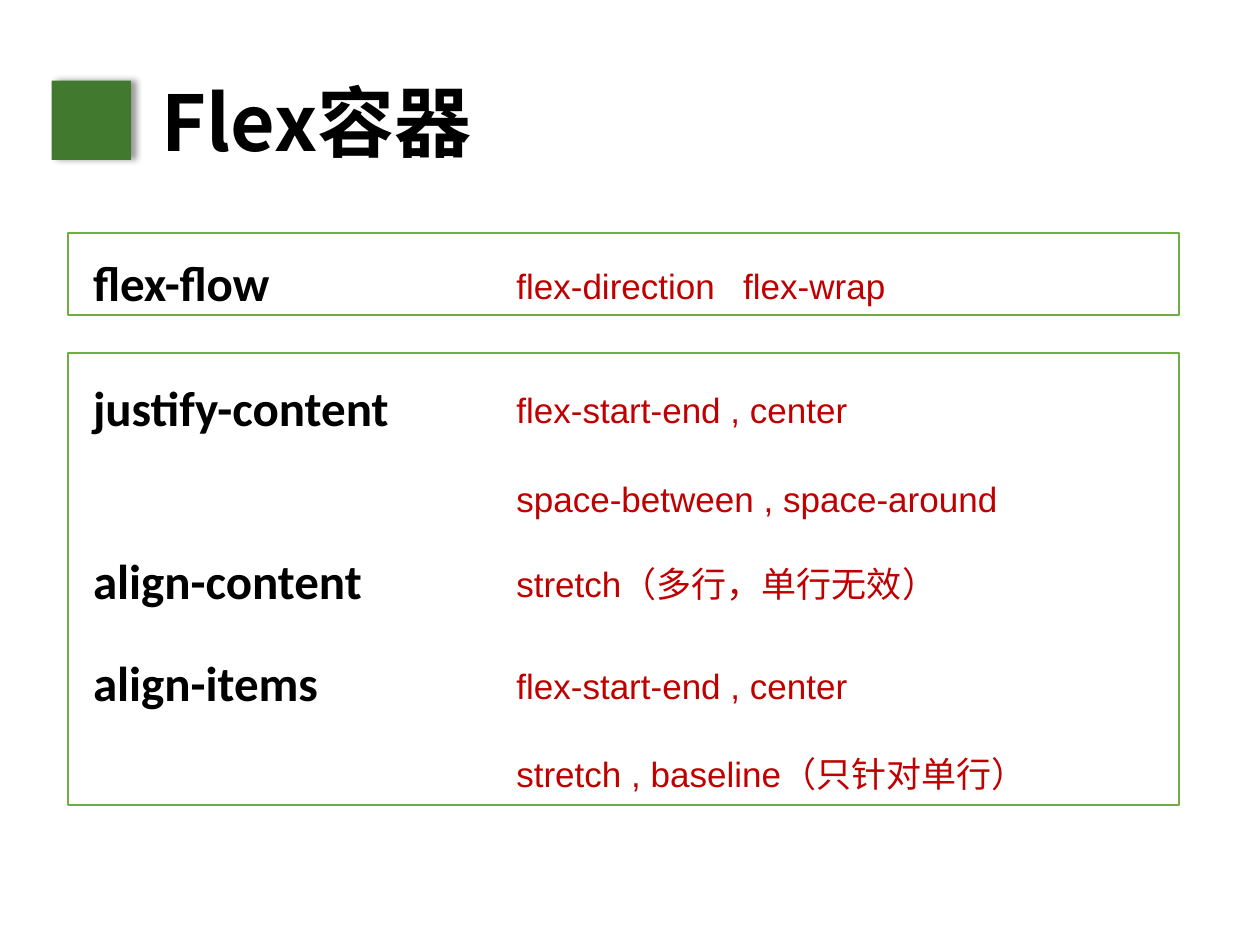
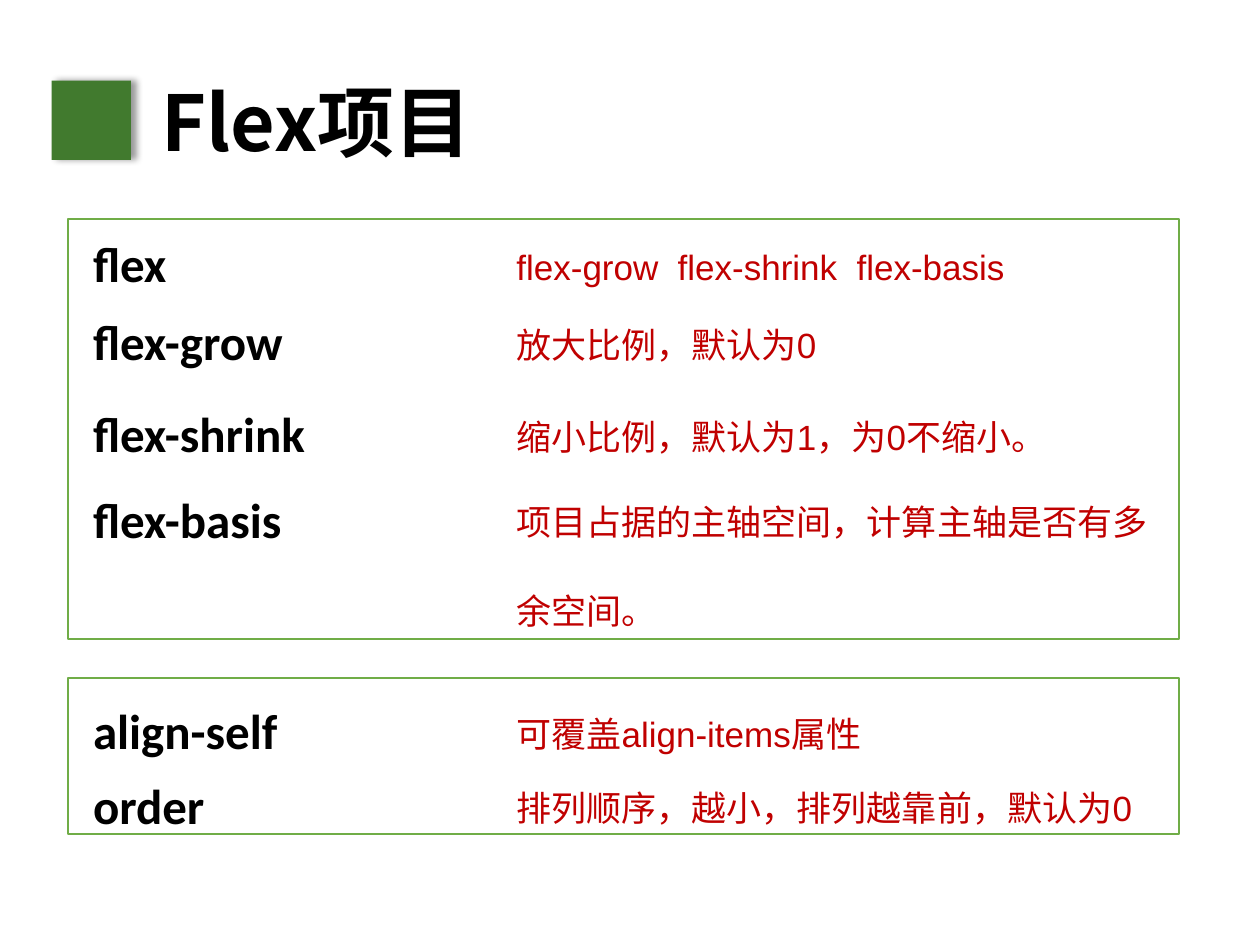
import pptx
import pptx.util
import pptx.dml.color
import pptx.enum.shapes
import pptx.enum.text
import pptx.oxml
import pptx.oxml.ns
from lxml import etree

Inches = pptx.util.Inches
Pt = pptx.util.Pt
RGBColor = pptx.dml.color.RGBColor
qn = pptx.oxml.ns.qn

BLACK = RGBColor(0x00, 0x00, 0x00)
RED = RGBColor(0xC0, 0x00, 0x00)
LEAF = RGBColor(0x41, 0x7A, 0x2E)
LIME = RGBColor(0x70, 0xAD, 0x47)
HAN = "Noto Sans CJK SC"

KEY_X, KEY_W = 0.64, 3.36
NOTE_X, NOTE_W = 4, 5.46
LIFT = 0.04
BOX_X, BOX_W = 0.54, 8.82

SLIDES = [
    {
        "title": "Flex容器",
        "rows": [
            (1.72, "flex-flow", ["flex-direction\tflex-wrap"], [1.8]),
            (2.71, "justify-content",
             ["flex-start-end , center", "space-between , space-around"], []),
            (4.09, "align-content", ["stretch（多行，单行无效）"], []),
            (4.9, "align-items",
             ["flex-start-end , center", "stretch , baseline（只针对单行）"], []),
        ],
        "boxes": [(1.85, 0.65), (2.8, 3.59)],
    },
    {
        "title": "Flex项目",
        "rows": [
            (1.57, "flex", ["flex-grow\tflex-shrink\tflex-basis"], [1.28, 2.7]),
            (2.19, "flex-grow", ["放大比例，默认为0"], []),
            (2.92, "flex-shrink", ["缩小比例，默认为1，为0不缩小。"], []),
            (3.6, "flex-basis", ["项目占据的主轴空间，计算主轴是否有多余空间。"], []),
            (5.28, "align-self", ["可覆盖align-items属性"], []),
            (5.87, "order", ["排列顺序，越小，排列越靠前，默认为0"], []),
        ],
        "boxes": [(1.74, 3.33), (5.38, 1.24)],
    },
]


def write(frame, lines, size, font, color, bold=False, gap=1.0, tabs=()):
    frame.word_wrap = True
    frame.vertical_anchor = pptx.enum.text.MSO_ANCHOR.TOP
    frame.auto_size = pptx.enum.text.MSO_AUTO_SIZE.SHAPE_TO_FIT_TEXT
    for i, line in enumerate(lines):
        para = frame.add_paragraph() if i else frame.paragraphs[0]
        para.alignment = pptx.enum.text.PP_ALIGN.LEFT
        para.line_spacing = gap
        run = para.add_run()
        run.text = line
        run.font.size = Pt(size)
        run.font.name = font
        run.font.bold = bold
        run.font.color.rgb = color
        etree.SubElement(run.font._element, qn("a:ea")).set("typeface", HAN)
        if tabs:
            stops = etree.SubElement(para._p.get_or_add_pPr(), qn("a:tabLst"))
            for pos in tabs:
                etree.SubElement(stops, qn("a:tab"), pos=str(Inches(pos)), algn="l")


def place(shape, left, top, width, height):
    shape.left, shape.top = Inches(left), Inches(top)
    shape.width, shape.height = Inches(width), Inches(height)


def add_rect(slide, left, top, width, height):
    shape = slide.shapes.add_shape(
        pptx.enum.shapes.MSO_SHAPE.RECTANGLE,
        Inches(left), Inches(top), Inches(width), Inches(height))
    shape.shadow.inherit = False
    return shape


def add_shade(shape):
    effects = shape._element.spPr.find(qn("a:effectLst"))
    shade = etree.SubElement(effects, qn("a:outerShdw"), blurRad=str(Pt(4)),
                             dist=str(Pt(3)), dir="0", algn="l", rotWithShape="0")
    color = etree.SubElement(shade, qn("a:srgbClr"), val=str(BLACK))
    etree.SubElement(color, qn("a:alpha"), val="40000")


def add_title(slide, text):
    title = slide.shapes.title
    place(title, 1.18, 0.54, 3, 0.84)
    write(title.text_frame, [text], 44, HAN, BLACK, bold=True)
    mark = add_rect(slide, 0.41, 0.64, 0.63, 0.63)
    mark.fill.solid()
    mark.fill.fore_color.rgb = LEAF
    mark.line.fill.background()
    add_shade(mark)


def add_text(slide, left, top, width, height, lines, **style):
    box = slide.shapes.add_textbox(
        Inches(left), Inches(top), Inches(width), Inches(height))
    write(box.text_frame, lines, **style)


def add_row(slide, top, key, notes, tabs):
    add_text(slide, KEY_X, top, KEY_W, 0.73, [key],
             size=28, font="Calibri", color=BLACK, bold=True, gap=1.5)
    tall = 1.39 if len(notes) > 1 or len(notes[0]) > 20 and not tabs else 0.68
    add_text(slide, NOTE_X, top - LIFT, NOTE_W, tall, notes,
             size=20, font="Arial", color=RED, gap=2.1, tabs=tabs)


def add_box(slide, top, height):
    box = add_rect(slide, BOX_X, top, BOX_W, height)
    box.fill.background()
    box.line.color.rgb = LIME
    box.line.width = Pt(1)


def main():
    deck = pptx.Presentation()
    deck.slide_width, deck.slide_height = Inches(10), Inches(7.5)
    for page in SLIDES:
        slide = deck.slides.add_slide(deck.slide_layouts[5])
        add_title(slide, page["title"])
        for row in page["rows"]:
            add_row(slide, *row)
        for box in page["boxes"]:
            add_box(slide, *box)
    deck.save("out.pptx")


if __name__ == "__main__":
    main()
